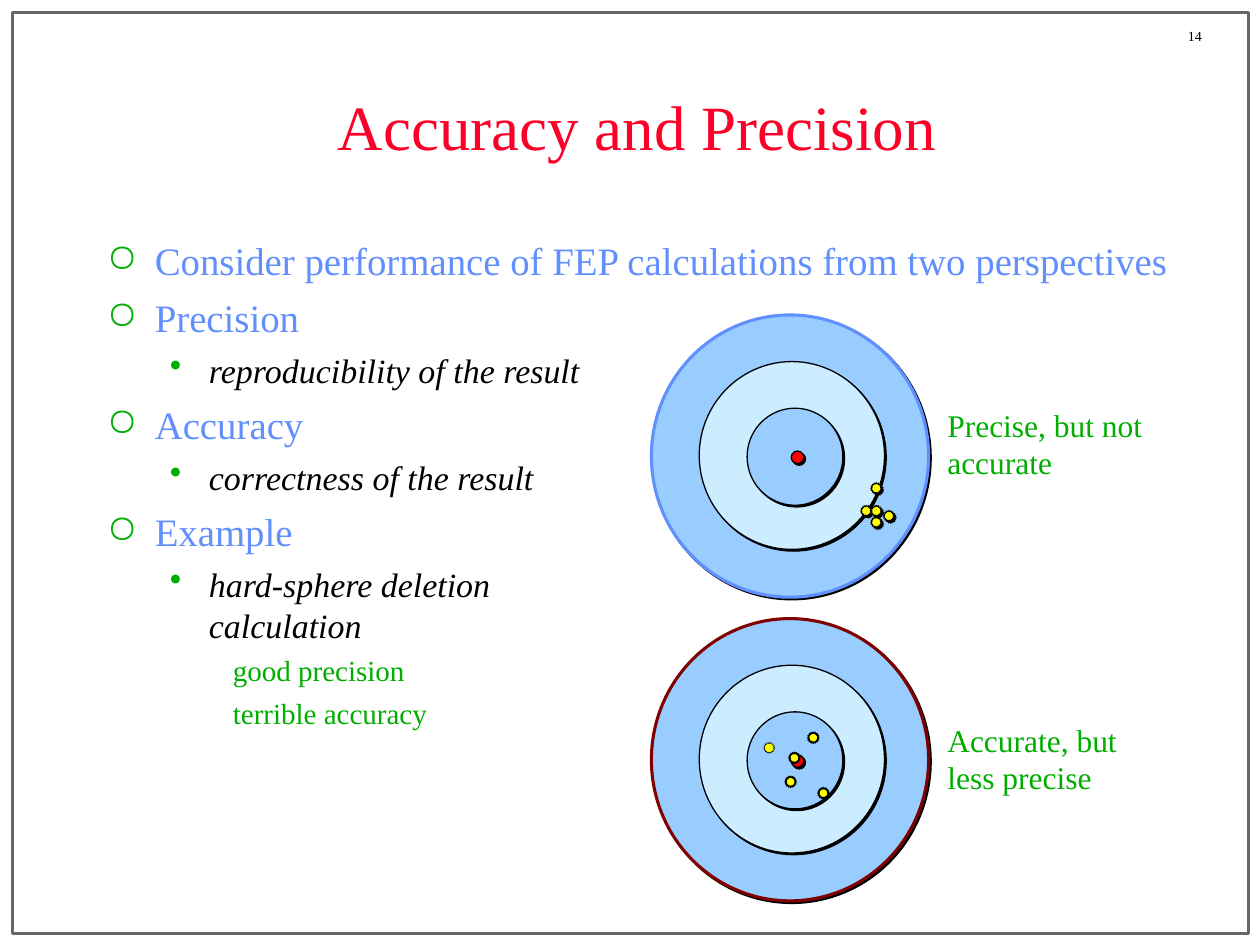
import pptx
import pptx.util
import pptx.dml.color
import pptx.enum.shapes
import pptx.enum.text
import pptx.oxml
import pptx.oxml.ns
import lxml.etree

Inches, Pt = pptx.util.Inches, pptx.util.Pt
SHAPE = pptx.enum.shapes.MSO_SHAPE
ANCHOR = pptx.enum.text.MSO_ANCHOR
AUTO = pptx.enum.text.MSO_AUTO_SIZE
NS = 'xmlns:a="http://schemas.openxmlformats.org/drawingml/2006/main"'
SHADOW = (f'<a:effectLst {NS}><a:outerShdw blurRad="0" dist="17780" dir="2700000" algn="ctr" '
          'rotWithShape="0"><a:srgbClr val="000000"/></a:outerShdw></a:effectLst>')


def style_text(paragraph, size, hex_color, italic=False):
    for run in paragraph.runs:
        run.font.name = "Times New Roman"
        run.font.size = Pt(size)
        run.font.italic = italic
        run.font.color.rgb = pptx.dml.color.RGBColor.from_string(hex_color)


def add_outline(shapes, preset, box, fill, line, width, shadow=False):
    outline = shapes.add_shape(preset, *[Inches(length) for length in box])
    outline.shadow.inherit = False
    if fill:
        outline.fill.solid()
        outline.fill.fore_color.rgb = pptx.dml.color.RGBColor.from_string(fill)
    else:
        outline.fill.background()
    outline.line.color.rgb = pptx.dml.color.RGBColor.from_string(line)
    outline.line.width = Pt(width)
    if shadow:
        properties = outline.element.spPr
        effects = properties.find(pptx.oxml.ns.qn("a:effectLst"))
        properties.replace(effects, pptx.oxml.parse_xml(SHADOW))


deck = pptx.Presentation()
deck.slide_width, deck.slide_height = Inches(10), Inches(7.5)
slide = deck.slides.add_slide(deck.slide_layouts[5])

add_outline(slide.shapes, SHAPE.RECTANGLE, (0.1, 0.1, 9.81, 7.31), None, "676767", 2)

page_number = slide.shapes.add_textbox(Inches(9.33), Inches(0.17), Inches(0.67), Inches(0.23))
page_number.text_frame.text = "14"
page_number.text_frame.word_wrap = False
style_text(page_number.text_frame.paragraphs[0], 8, "000000")

title = slide.shapes.title
title.left, title.top = Inches(0.75), Inches(0.5)
title.width, title.height = Inches(8.61), Inches(0.99)
title.text_frame.text = "Accuracy and Precision"
title.text_frame.auto_size = AUTO.NONE
title.text_frame.vertical_anchor = ANCHOR.MIDDLE
title.text_frame.paragraphs[0].alignment = pptx.enum.text.PP_ALIGN.CENTER
style_text(title.text_frame.paragraphs[0], 36, "FC0128")

levels = [
    (0.38, -0.38, 6, "○", 22.2, "618FFD", False),
    (0.81, -0.31, 5.2, "•", 19.4, "000000", True),
    (1.25, -0.25, 4.5, None, 16.6, "00AE00", False),
]
points = [
    (0, "Consider performance of FEP calculations from two perspectives"),
    (0, "Precision"),
    (1, "reproducibility of the result"),
    (0, "Accuracy"),
    (1, "correctness of the result"),
    (0, "Example"),
    (1, "hard-sphere deletion \ncalculation"),
    (2, "good precision"),
    (2, "terrible accuracy"),
]
outline_box = slide.shapes.add_textbox(Inches(0.75), Inches(1.83), Inches(8.75), Inches(4.5))
outline_box.text_frame.word_wrap = True
for index, (level, text) in enumerate(points):
    margin, indent, before, bullet, size, color, italic = levels[level]
    frame = outline_box.text_frame
    point = frame.add_paragraph() if index else frame.paragraphs[0]
    point.text = text
    point.level = level
    point.space_before = Pt(before)
    style_text(point, size, color, italic)
    properties = point._p.get_or_add_pPr()
    properties.set("marL", str(Inches(margin)))
    properties.set("indent", str(Inches(indent)))
    if bullet:
        properties.append(pptx.oxml.parse_xml(
            f'<a:buClr {NS}><a:srgbClr val="00AE00"/></a:buClr>'))
        properties.append(pptx.oxml.parse_xml(f'<a:buChar {NS} char="{bullet}"/>'))

rings = [
    (0, 0, 2.2, 2.24, "99CCFF"),
    (0.38, 0.37, 1.47, 1.49, "CCECFF"),
    (0.76, 0.74, 0.76, 0.77, "99CCFF"),
    (1.11, 1.08, 0.1, 0.1, "FF0000"),
]
targets = [
    (2.5, "618FFD", True, "Precise, but not accurate", 3.17,
     [(6.83, 4.01, 0.5), (7.01, 4.05, 0.5), (6.91, 4.1, 0.5), (6.91, 4.01, 0.5), (6.91, 3.83, 0.5)]),
    (4.91, "800000", False, "Accurate, but less precise", 5.67,
     [(6.06, 5.89, 0.25), (6.26, 5.97, 0.75), (6.23, 6.16, 0.75), (6.41, 5.81, 0.75), (6.49, 6.25, 0.75)]),
]
for top, rim, hit_shadow, caption, caption_top, hits in targets:
    target = slide.shapes.add_group_shape()
    for dx, dy, width, height, fill in rings:
        line, weight = ("000000", 0.75) if dx else (rim, 1.75)
        add_outline(target.shapes, SHAPE.OVAL, (5.17 + dx, top + dy, width, height),
                    fill, line, weight, True)
    for x, y, weight in hits:
        add_outline(target.shapes, SHAPE.STAR_16_POINT, (x, y, 0.09, 0.09),
                    "FFFF00", "000000", weight, hit_shadow)

    label = slide.shapes.add_textbox(Inches(7.42), Inches(caption_top), Inches(1.92), Inches(0.7))
    label.text_frame.text = caption
    label.text_frame.word_wrap = True
    label.text_frame.vertical_anchor = ANCHOR.MIDDLE
    label.text_frame.paragraphs[0].space_before = Pt(11.2)
    style_text(label.text_frame.paragraphs[0], 18, "00AE00")

deck.save("out.pptx")
